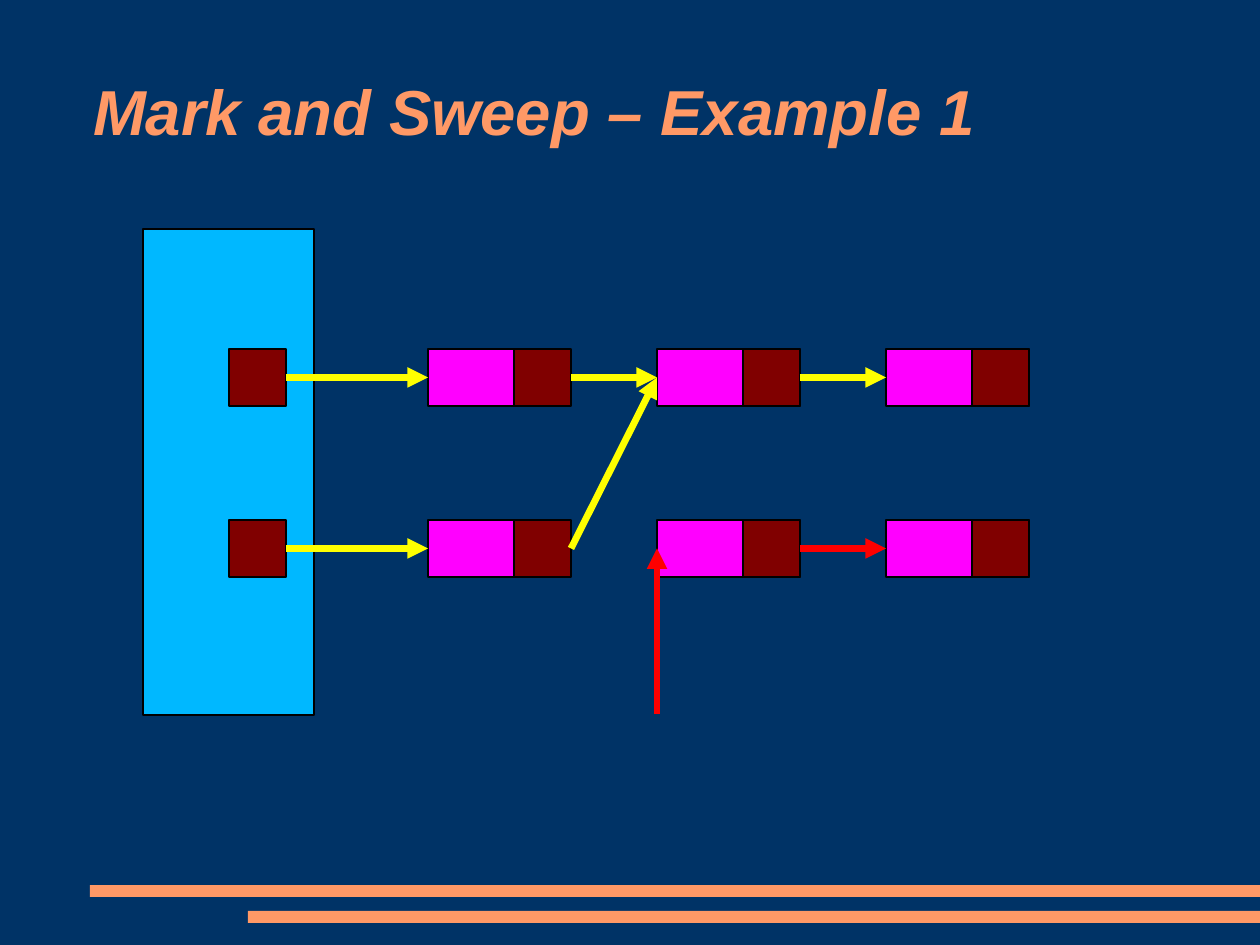
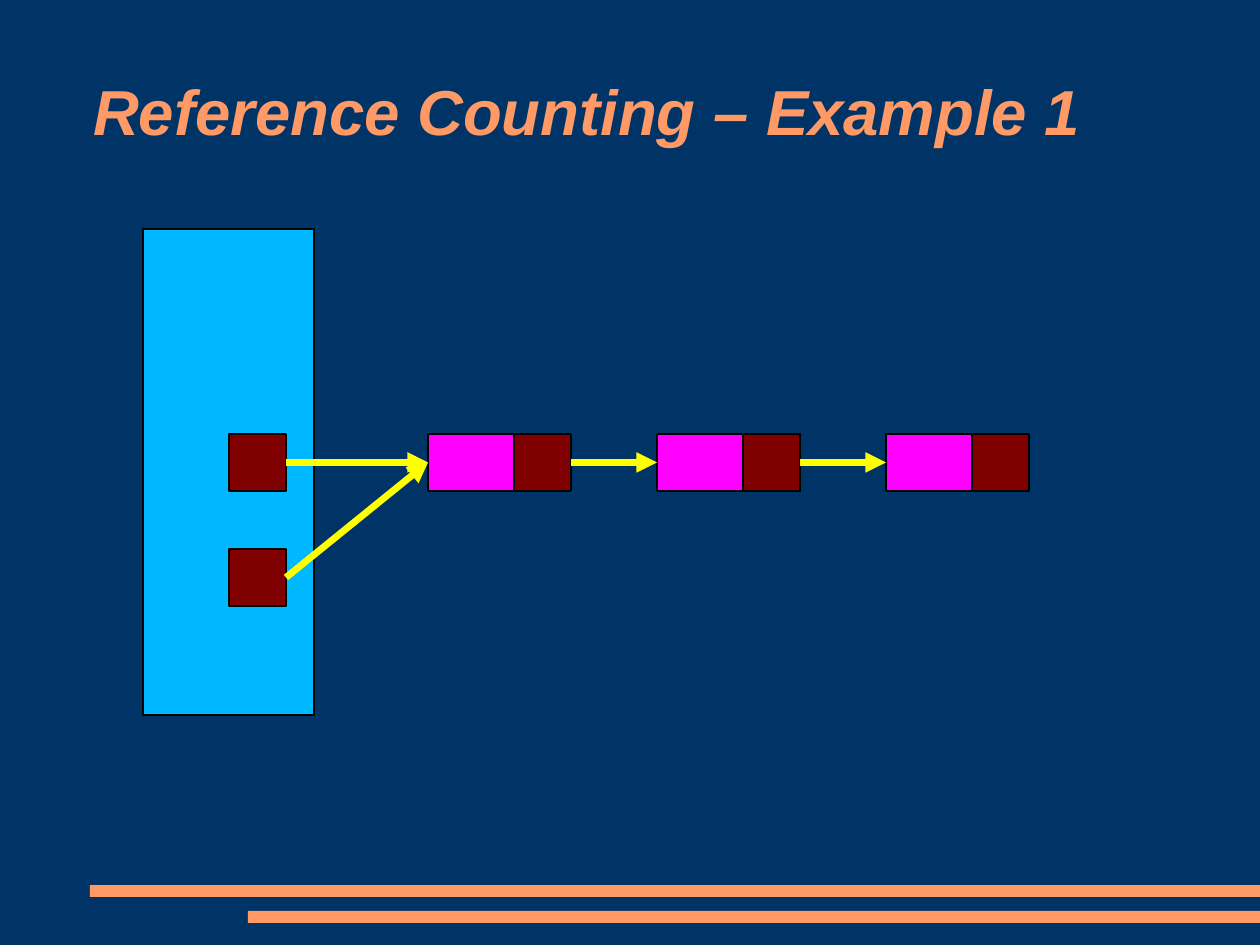
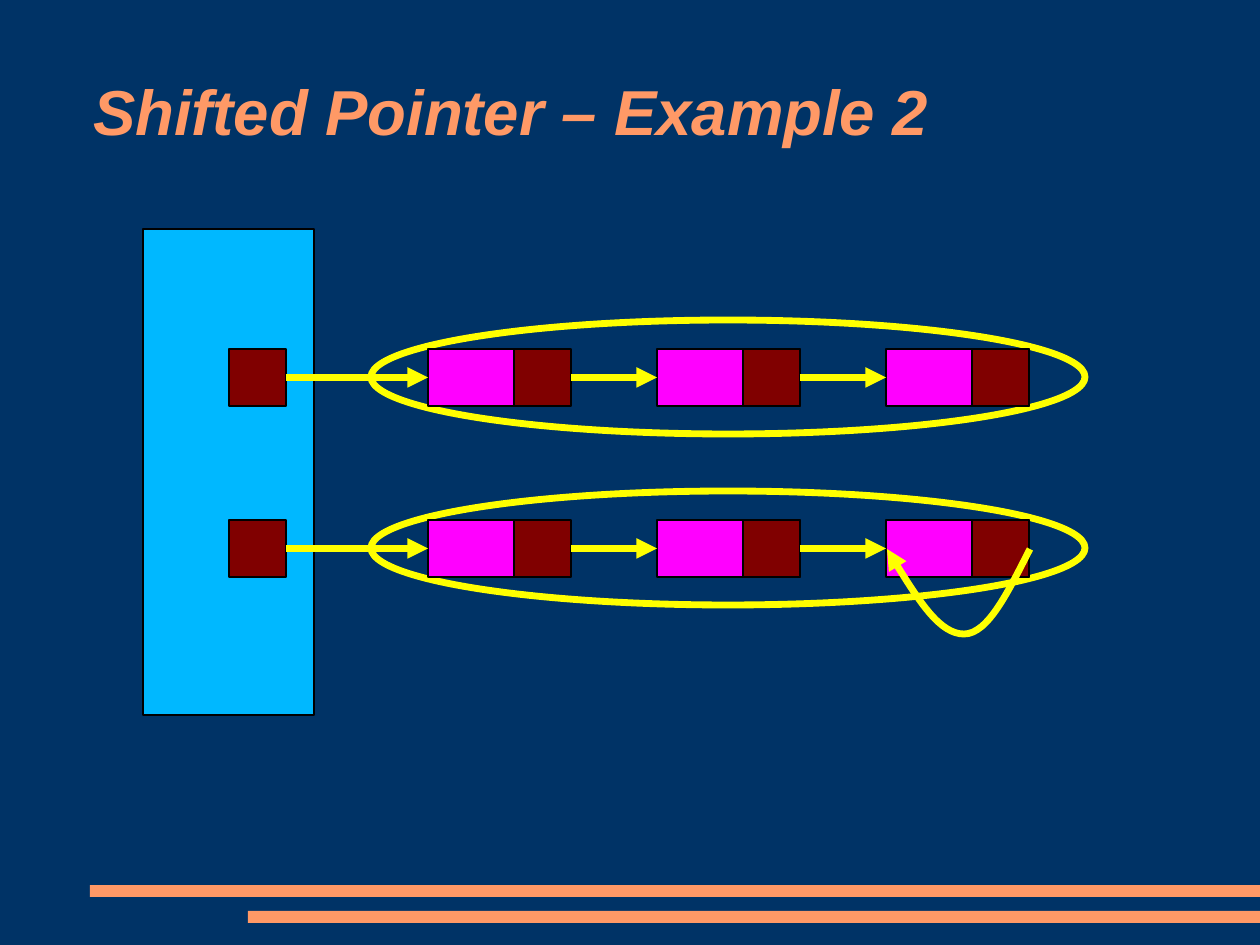
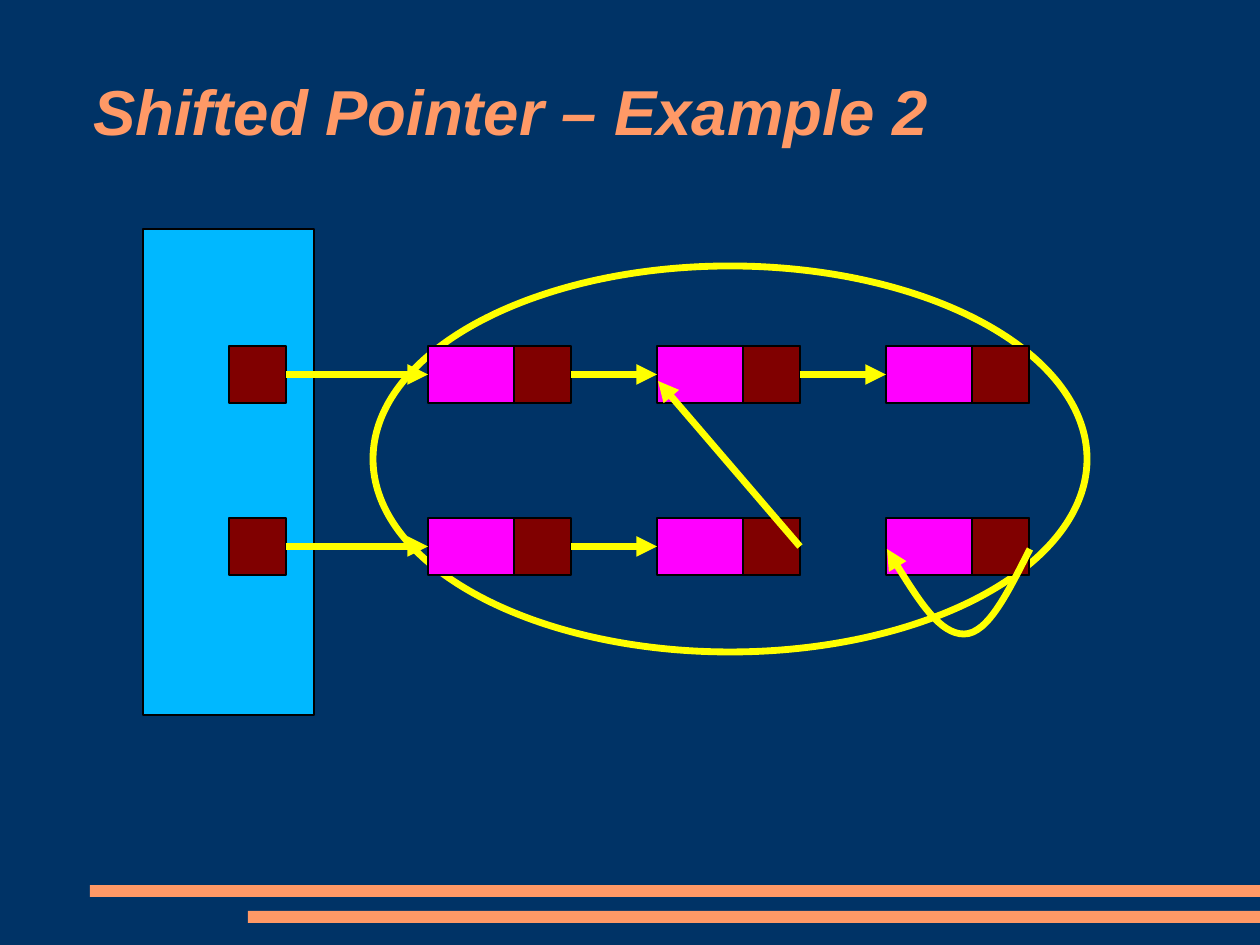
"""Build four slides of pointer diagrams on garbage collection."""
from lxml.etree import SubElement
from pptx import Presentation
from pptx.dml.color import RGBColor
from pptx.enum.shapes import MSO_CONNECTOR as CONN, MSO_SHAPE as SHAPE
from pptx.enum.text import MSO_ANCHOR as ANCHOR, PP_ALIGN as ALIGN
from pptx.oxml.ns import qn
from pptx.util import Pt

PX = 8000
W, H = 1260, 945
NAVY = RGBColor(0x00, 0x33, 0x66)
ORANGE = RGBColor(0xFF, 0x99, 0x66)
CYAN = RGBColor(0x00, 0xB8, 0xFF)
MAGENTA = RGBColor(0xFF, 0x00, 0xFF)
MAROON = RGBColor(0x80, 0x00, 0x00)
YELLOW = RGBColor(0xFF, 0xFF, 0x00)
RED = RGBColor(0xFF, 0x00, 0x00)
BLACK = RGBColor(0x00, 0x00, 0x00)
FONT = "Arial"
ARROW_PT = 4.31

TITLE_BOX = (93, 35, 1076, 158)
BANDS = [(90, 885, W - 90, 12), (248, 911, W - 248, 12)]
ROOT_SET = (143, 229, 171, 486)
ROOT_X, NODE_X, NODE_STEP = 229, 428, 229
NODE_W, CELL = 143, 57
SELF_LOOP = [(1030, 549), (1008, 592), (988, 634), (964, 634),
             (940, 634), (913, 592), (887, 549)]


def chain(row, last):
    """List the arrows that link neighbouring cells of a row."""
    return [((row, c), (row, c + 1), YELLOW) for c in range(last)]


SLIDES = [
    dict(title="Mark and Sweep – Example 1", rows=[("a", 349, 3), ("b", 520, 3)],
         arrows=chain("a", 3) + chain("b", 1) + [
             (("b", 1), ("a", 2), YELLOW),
             (("b", 2), ("b", 3), RED),
             (("at", 657, 714), ("b", 2), RED)]),
    dict(title="Reference Counting – Example 1", rows=[("a", 434, 3), ("b", 549, 0)],
         arrows=chain("a", 3) + [(("b", 0), ("a", 1), YELLOW)]),
    dict(title="Shifted Pointer – Example 2", rows=[("a", 349, 3), ("b", 520, 3)],
         rings=[(371, 491, 714, 114), (371, 320, 714, 114)],
         arrows=chain("a", 3) + chain("b", 3), loop=SELF_LOOP),
    dict(title="Shifted Pointer – Example 2", rows=[("a", 346, 3), ("b", 518, 3)],
         rings=[(373, 266, 714, 386)],
         arrows=chain("a", 3) + chain("b", 2) + [
             (("b", 2), ("at", 658, 381), YELLOW)], loop=SELF_LOOP),
]


def emu(values):
    return [v * PX for v in values]


def add_text(tf, text, size=40, color=ORANGE, bold=True, italic=True):
    tf.word_wrap = True
    tf.vertical_anchor = ANCHOR.MIDDLE
    tf.margin_left = tf.margin_right = tf.margin_top = tf.margin_bottom = 0
    p = tf.paragraphs[0]
    p.alignment, p.line_spacing = ALIGN.LEFT, 0.93
    r = p.add_run()
    r.text = text
    f = r.font
    f.name, f.size, f.bold, f.italic = FONT, Pt(size), bold, italic
    f.color.rgb = color


def style(sp, fill=None, line=None, width=0.75):
    sp.shadow.inherit = False
    if fill is None:
        sp.fill.background()
    else:
        sp.fill.solid()
        sp.fill.fore_color.rgb = fill
    if line is None:
        sp.line.fill.background()
    else:
        sp.line.color.rgb = line
        sp.line.width = Pt(width)
    return sp


def add_box(s, box, kind=SHAPE.RECTANGLE, **look):
    return style(s.shapes.add_shape(kind, *emu(box)), **look)


def add_head(line):
    SubElement(line.get_or_add_ln(), qn("a:tailEnd"), type="triangle")


def add_arrow(s, cells, start, end, color):
    ends = [emu(e[1:]) if e[0] == "at" else (0, 0) for e in (start, end)]
    cx = s.shapes.add_connector(CONN.STRAIGHT, *ends[0], *ends[1])
    if start in cells:
        cx.begin_connect(cells[start][1], 3)
    if end in cells:
        cx.end_connect(cells[end][0], 1)
    cx.line.color.rgb = color
    cx.line.width = Pt(ARROW_PT)
    add_head(cx)
    SubElement(cx.element.spPr, qn("a:effectLst"))


def add_curve(s, points):
    fb = s.shapes.build_freeform(*points[0], scale=PX)
    fb.add_line_segments(points[1:], close=False)
    sp = style(fb.convert_to_shape(), line=YELLOW, width=ARROW_PT)
    outline = next(sp.element.iter(qn("a:path")))
    segments = outline.findall(qn("a:lnTo"))
    for i in range(0, len(segments), 3):
        bezier = SubElement(outline, qn("a:cubicBezTo"))
        for seg in segments[i:i + 3]:
            bezier.append(seg[0])
            outline.remove(seg)
    add_head(sp)


def add_cells(s, rows):
    cells = {}
    for row, top, count in rows:
        root = add_box(s, (ROOT_X, top, CELL, CELL), fill=MAROON, line=BLACK)
        cells[row, 0] = (root, root)
        for i in range(count):
            x = NODE_X + i * NODE_STEP
            node = add_box(s, (x, top, NODE_W, CELL), fill=MAGENTA, line=BLACK)
            pointer = add_box(s, (x + NODE_W - CELL, top, CELL, CELL),
                              fill=MAROON, line=BLACK)
            cells[row, i + 1] = (node, pointer)
    return cells


def add_slide(prs, layout, title, rows, arrows, rings=(), loop=None):
    s = prs.slides.add_slide(layout)
    add_text(s.shapes.title.text_frame, title)
    for ring in rings:
        add_box(s, ring, SHAPE.OVAL, line=YELLOW, width=ARROW_PT)
    add_box(s, ROOT_SET, fill=CYAN, line=BLACK)
    cells = add_cells(s, rows)
    for arrow in arrows:
        add_arrow(s, cells, *arrow)
    if loop:
        add_curve(s, loop)
    return s


def main():
    prs = Presentation()
    prs.slide_width, prs.slide_height = emu((W, H))
    bg = prs.slide_master.background.fill
    bg.solid()
    bg.fore_color.rgb = NAVY
    layout = prs.slide_layouts.get_by_name("Title Only")
    ph = layout.placeholders[0]
    ph.left, ph.top, ph.width, ph.height = emu(TITLE_BOX)
    slides = [add_slide(prs, layout, **content) for content in SLIDES]
    for band in BANDS:
        sp = add_box(slides[0], band, fill=ORANGE)
        layout.shapes.element.append(sp.element)
    prs.save("out.pptx")


if __name__ == "__main__":
    main()
